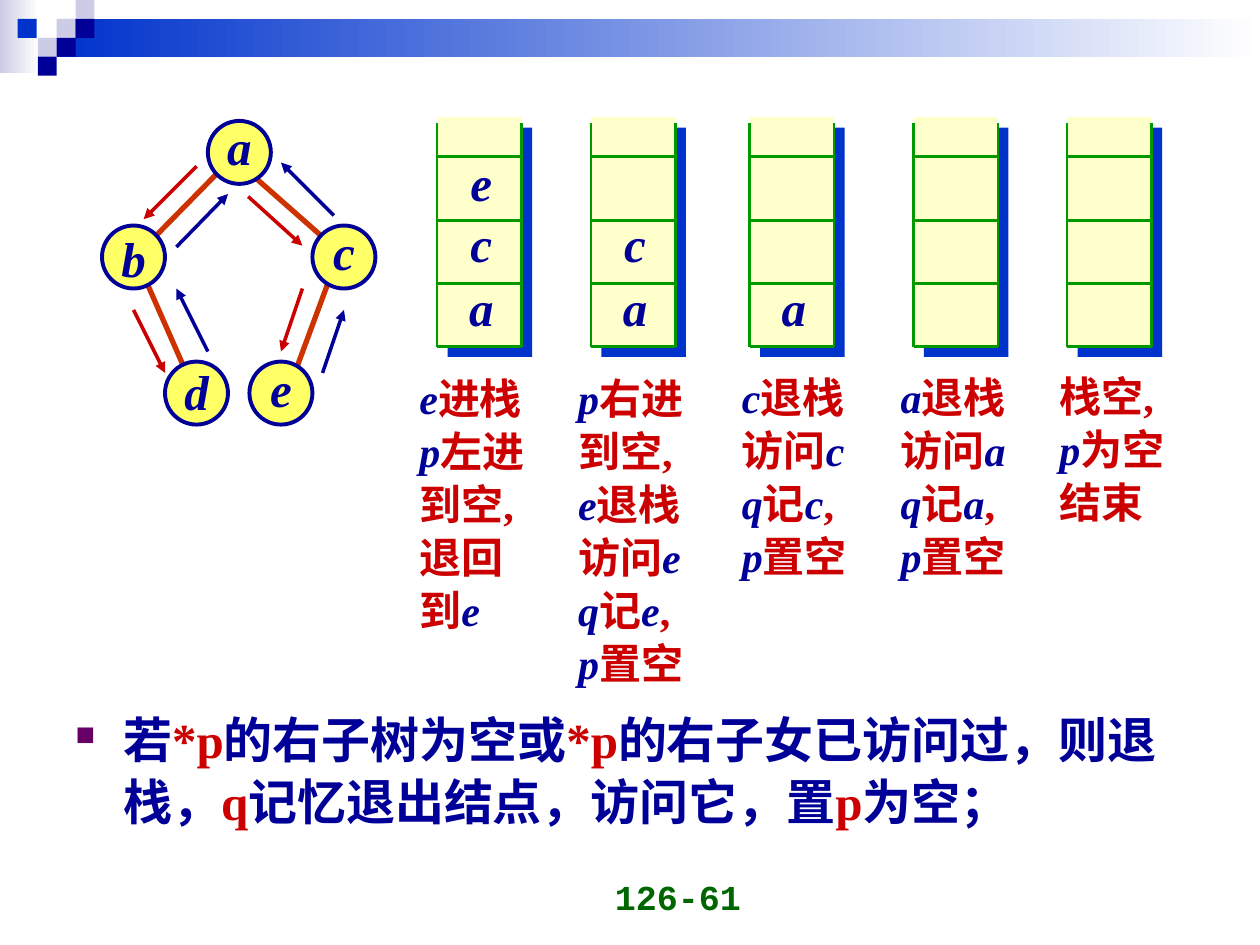
from itertools import groupby

from lxml import etree
from pptx import Presentation
from pptx.dml.color import RGBColor
from pptx.enum.shapes import MSO_CONNECTOR, MSO_SHAPE
from pptx.enum.text import MSO_ANCHOR, PP_ALIGN
from pptx.oxml import parse_xml
from pptx.oxml.ns import nsdecls, qn
from pptx.util import Inches, Pt

NAVY = RGBColor(0x00, 0x00, 0x99)
BLUE = RGBColor(0x00, 0x33, 0xCC)
LAVENDER = RGBColor(0xCC, 0xCC, 0xE6)
WHITE = RGBColor(0xFF, 0xFF, 0xFF)
RED = RGBColor(0xCC, 0x00, 0x00)
RUST = RGBColor(0xCC, 0x33, 0x00)
YELLOW = RGBColor(0xFF, 0xFF, 0x66)
CREAM = RGBColor(0xFF, 0xFF, 0xCC)
GREEN = RGBColor(0x00, 0x99, 0x00)
DARK_GREEN = RGBColor(0x00, 0x66, 0x00)
SERIF = "Times New Roman"

presentation = Presentation()
presentation.slide_width = Inches(10)
presentation.slide_height = Inches(7.5)
slide = presentation.slides.add_slide(presentation.slide_layouts[6])


def add_line(start, end, color, width, arrow=False):
    line = slide.shapes.add_connector(
        MSO_CONNECTOR.STRAIGHT, *[Inches(value) for value in (*start, *end)])
    line.line.color.rgb = color
    line.line.width = Pt(width)
    properties = line._element.spPr
    if arrow:
        etree.SubElement(properties.find(qn("a:ln")), qn("a:tailEnd"), type="triangle")
    etree.SubElement(properties, qn("a:effectLst"))


def add_text(box, lines, size, font=SERIF, align=PP_ALIGN.LEFT,
             anchor=MSO_ANCHOR.TOP, wrap=True):
    """Each line is a list of runs: (text, color, italic)."""
    frame = slide.shapes.add_textbox(*[Inches(value) for value in box]).text_frame
    frame.word_wrap = wrap
    frame.vertical_anchor = anchor
    for index, runs in enumerate(lines):
        paragraph = frame.add_paragraph() if index else frame.paragraphs[0]
        paragraph.alignment = align
        if index:
            paragraph.space_before = Pt(1.5)
        for text, color, italic in runs:
            run = paragraph.add_run()
            run.text = text
            run.font.name = font
            run.font.size = Pt(size)
            run.font.bold = True
            run.font.italic = italic
            run.font.color.rgb = color
    return frame


# Header: gradient bars, then the small squares
bars = [((0, 0, 0.31, 0.58), LAVENDER), ((0.45, 0.15, 9.55, 0.3), BLUE)]
squares = [(0.45, 0.15, LAVENDER), (0.6, 0, LAVENDER), (0.6, 0.15, NAVY),
           (0.3, 0.3, LAVENDER), (0.14, 0.15, BLUE), (0.45, 0.3, NAVY),
           (0.3, 0.45, NAVY)]
for box, color in bars:
    bar = slide.shapes.add_shape(MSO_SHAPE.RECTANGLE, *[Inches(value) for value in box])
    bar.shadow.inherit = False
    bar.line.fill.background()
    bar.fill.gradient()
    bar.fill.gradient_angle = 0
    for stop, stop_color in zip(bar.fill.gradient_stops, (color, WHITE)):
        stop.color.rgb = stop_color
for left, top, color in squares:
    square = slide.shapes.add_shape(
        MSO_SHAPE.RECTANGLE, Inches(left), Inches(top), Inches(0.15), Inches(0.15))
    square.shadow.inherit = False
    square.line.fill.background()
    square.fill.solid()
    square.fill.fore_color.rgb = color

# Tree edges
edges = [((2.65, 2.12), (2.31, 3.04)), ((1.15, 2.21), (1.48, 2.96)),
         ((1.98, 1.37), (2.65, 1.96)), ((1.73, 1.37), (1.15, 1.96))]
for start, end in edges:
    add_line(start, end, RUST, 3)

# Tree nodes: letter, left, top, top of the letter
nodes = [("a", 1.65, 0.96, 0.87), ("b", 0.81, 1.79, 1.76), ("c", 2.48, 1.79, 1.71),
         ("d", 1.31, 2.87, 2.82), ("e", 1.98, 2.87, 2.79)]
for letter, left, top, letter_top in nodes:
    node = slide.shapes.add_shape(
        MSO_SHAPE.OVAL, Inches(left), Inches(top), Inches(0.5), Inches(0.5))
    node.shadow.inherit = False
    node.fill.solid()
    node.fill.fore_color.rgb = YELLOW
    node.line.color.rgb = NAVY
    node.line.width = Pt(2.25)
    add_text((left + 0.05, letter_top, 0.4, 0.57), [[(letter, NAVY, True)]], 28,
             align=PP_ALIGN.CENTER, anchor=MSO_ANCHOR.MIDDLE, wrap=False)

# Arrows: red going down, navy coming back
descents = [((1.56, 1.32), (1.14, 1.74)), ((1.06, 2.46), (1.31, 2.96)),
            ((1.97, 1.56), (2.4, 1.95)), ((2.4, 2.29), (2.23, 2.79))]
returns = [((1.65, 2.79), (1.4, 2.29)), ((1.4, 1.96), (1.81, 1.54)),
           ((2.56, 2.96), (2.73, 2.46)), ((2.65, 1.71), (2.23, 1.29))]
for color, arrows in ((RED, descents), (NAVY, returns)):
    for start, end in arrows:
        add_line(start, end, color, 2, arrow=True)

# Stacks: left, content from the bottom up, caption left, caption lines
stacks = [
    (3.47, "ace", 3.23, ["e进栈", "p左进", "到空,", "退回", "到e"]),
    (4.69, "ac", 4.49, ["p右进", "到空,", "e退栈", "访问e", "q记e,", "p置空"]),
    (5.95, "a", 5.79, ["c退栈", "访问c", "q记c,", "p置空"]),
    (7.25, "", 7.05, ["a退栈", "访问a", "q记a,", "p置空"]),
    (8.47, "", 8.31, ["栈空,", "p为空", "结束"]),
]
STACK_TOP, STACK_BOTTOM, STACK_WIDTH = 0.93, 2.75, 0.67
for left, content, caption_left, caption in stacks:
    right = left + STACK_WIDTH
    stack = slide.shapes.add_shape(
        MSO_SHAPE.RECTANGLE, Inches(left), Inches(STACK_TOP),
        Inches(STACK_WIDTH), Inches(STACK_BOTTOM - STACK_TOP))
    stack.fill.solid()
    stack.fill.fore_color.rgb = CREAM
    stack.line.fill.background()
    stack.shadow.inherit = False
    stack._element.spPr.find(qn("a:effectLst")).append(parse_xml(
        f'<a:outerShdw {nsdecls("a")} dist="{Pt(8.5)}" dir="2700000" algn="ctr" '
        f'rotWithShape="0"><a:srgbClr val="{BLUE}"/></a:outerShdw>'))
    for y in (1.24, 1.75, 2.25, STACK_BOTTOM):
        add_line((left, y), (right, y), GREEN, 1.5)
    for x in (left, right):
        add_line((x, 0.98), (x, STACK_BOTTOM), GREEN, 1.5)
    for letter, top in zip(content, (2.15, 1.64, 1.16)):
        add_text((left + 0.15, top, 0.4, 0.57), [[(letter, NAVY, True)]], 28,
                 align=PP_ALIGN.CENTER, anchor=MSO_ANCHOR.MIDDLE, wrap=False)

    # Variables are navy italic, the rest is red
    lines = []
    for line in caption:
        groups = groupby(line, key=lambda char: "a" <= char <= "z")
        lines.append([("".join(chars), NAVY if is_variable else RED, is_variable)
                      for is_variable, chars in groups])
    add_text((caption_left, 2.9, 1.18, 0.43 * len(caption) + 0.04), lines, 24,
             anchor=MSO_ANCHOR.MIDDLE)

# Rule below the stacks: variables are red, the rest is navy
rule = "若*p的右子树为空或*p的右子女已访问过，则退栈，q记忆退出结点，访问它，置p为空；"
rule_runs = [("".join(chars), RED if is_variable else NAVY, False)
             for is_variable, chars in groupby(rule, key=str.isascii)]
paragraph = add_text((0.5, 5.56, 9, 1.26), [rule_runs], 28).paragraphs[0]
properties = paragraph._p.get_or_add_pPr()
properties.set("marL", str(Inches(0.38)))
properties.set("indent", str(Inches(-0.38)))
for bullet in ('buClr {}><a:srgbClr val="660066"/></a:buClr>',
               'buSzPct {} val="55000"/>', 'buChar {} char="■"/>'):
    properties.append(parse_xml("<a:" + bullet.format(nsdecls("a"))))
paragraph.line_spacing = 1.05

# Page number
add_text((3.65, 6.83, 2.33, 0.5), [[("126-61", DARK_GREEN, False)]], 20,
         font="Courier New", align=PP_ALIGN.RIGHT, anchor=MSO_ANCHOR.BOTTOM)

presentation.save("out.pptx")
